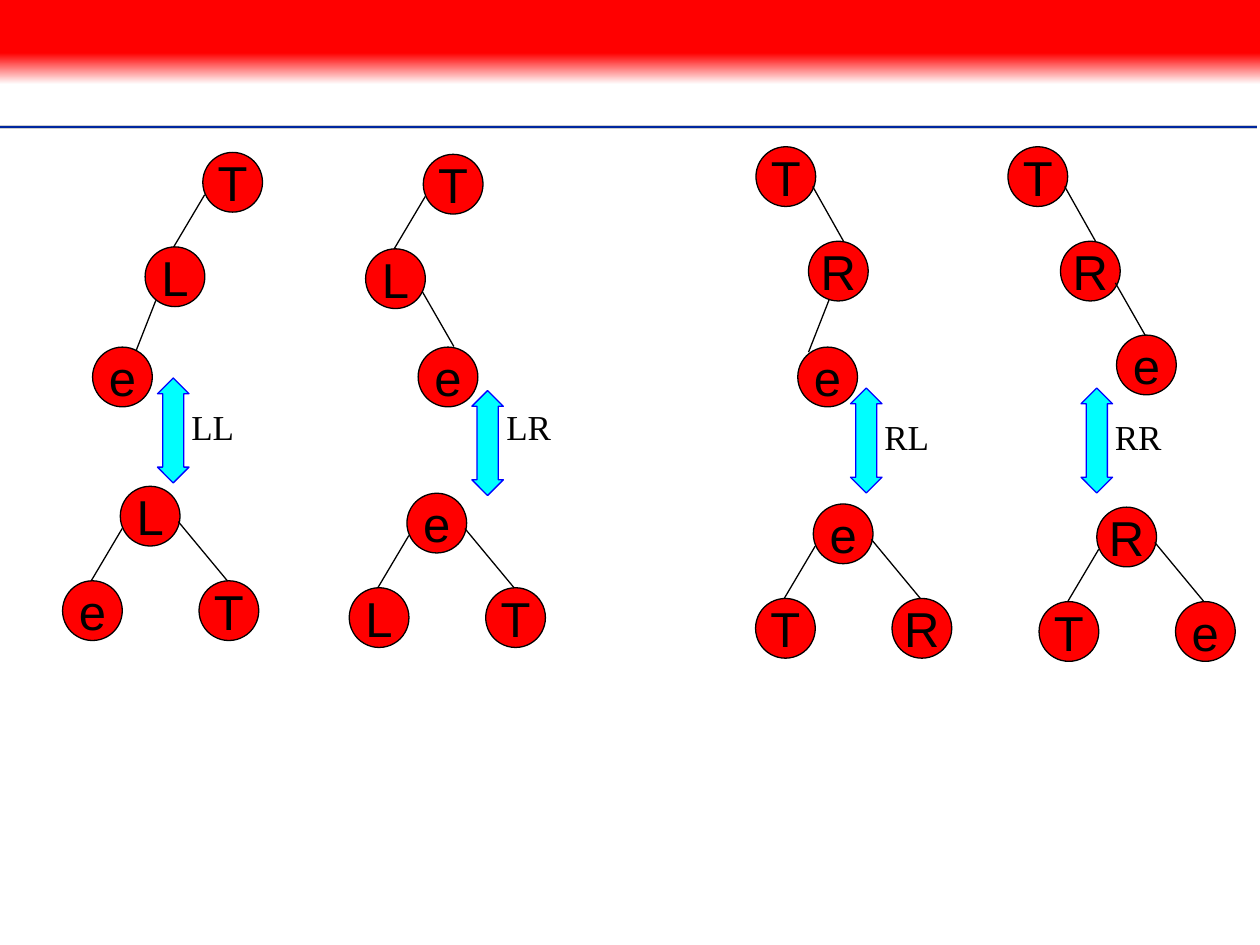
"""Build the slide of the four AVL tree rotations: LL, LR, RL and RR."""
from lxml.etree import SubElement
from pptx import Presentation
from pptx.dml.color import RGBColor
from pptx.enum.shapes import MSO_CONNECTOR, MSO_SHAPE as SHAPE
from pptx.enum.text import MSO_ANCHOR, PP_ALIGN
from pptx.oxml.ns import qn
from pptx.util import Inches, Pt

COLS, ROWS = 100, 75
NODE = 4.74
RED, WHITE, BLACK = "FF0000", "FFFFFF", "000000"

LEFT = ((-4.58, 7.5), (0.15, 3.35), (-2.4, 7.65))
RIGHT = ((4.17, 7.5), (4.5, 3.15), (6.95, 7.5))
WIDE_RIGHT = ((6.25, 7.5), (4.6, 2.8), (8.5, 7.5))
STEEP_LEFT = ((-4.17, 7.95), (0.85, 4.25), (-0.8, 8.45))
LOW_RIGHT = ((4.17, 7.8), (4.5, 3.4), (7, 7.75))
FAR_RIGHT = ((4.45, 7.45), (4.35, 3.3), (6.8, 7.6))
NEAR_LEFT = ((-0.85, 8.4), (1.65, 4.6), (0, 8.8))

ROTATIONS = [
    ("LL", "TLe", (16.1, 12.1), (LEFT, STEEP_LEFT), "LeT", (9.55, 38.6), (12.5, 30), (14.2, 31.7)),
    ("LR", "TLe", (33.6, 12.25), (LEFT, LOW_RIGHT), "eLT", (32.3, 39.15), (37.45, 31), (39.2, 31.7)),
    ("RL", "TRe", (60, 11.65), (RIGHT, NEAR_LEFT), "eTR", (64.55, 40), (67.5, 30.8), (69.2, 32.5)),
    ("RR", "TRe", (80, 11.65), (RIGHT, FAR_RIGHT), "RTe", (87.05, 40.25), (85.8, 30.8), (87.5, 32.5)),
]


def rgb(value):
    return RGBColor.from_string(value)


def shifted(point, offset):
    return point[0] + offset[0], point[1] + offset[1]


class Board:
    """Holds the style and the current slide, and draws on a grid of columns and rows."""

    def __init__(self, prs):
        self.cell_w = prs.slide_width / COLS
        self.cell_h = prs.slide_height / ROWS
        self.s = prs.slides.add_slide(prs.slide_layouts[6])

    def at(self, col, row):
        return round(col * self.cell_w), round(row * self.cell_h)

    def shape(self, kind, pos, size, fill, line=None):
        sp = self.s.shapes.add_shape(kind, *self.at(*pos), *self.at(*size))
        sp.shadow.inherit = False
        sp.fill.solid()
        sp.fill.fore_color.rgb = rgb(fill)
        if line:
            sp.line.color.rgb = rgb(line)
            sp.line.width = Pt(0.75)
        else:
            sp.line.fill.background()
        return sp

    def fade(self, pos, size, top, bottom):
        fill = self.shape(SHAPE.RECTANGLE, pos, size, top).fill
        fill.gradient()
        fill.gradient_angle = 270
        for stop, color, place in zip(fill.gradient_stops, (top, bottom), (0, 1)):
            stop.color.rgb = rgb(color)
            stop.position = place

    def line(self, start, end, color=BLACK, width=0.75):
        cn = self.s.shapes.add_connector(MSO_CONNECTOR.STRAIGHT, *self.at(*start), *self.at(*end))
        cn.line.color.rgb = rgb(color)
        cn.line.width = Pt(width)
        SubElement(cn._element.spPr, qn("a:effectLst"))

    def text(self, sp, words, font, size, align):
        p = sp.text_frame.paragraphs[0]
        p.alignment = align
        r = p.add_run()
        r.text = words
        r.font.name = font
        r.font.size = Pt(size)
        r.font.color.rgb = rgb(BLACK)

    def node(self, letter, pos):
        sp = self.shape(SHAPE.OVAL, pos, (NODE, NODE), RED, BLACK)
        sp.text_frame.word_wrap = False
        sp.text_frame.vertical_anchor = MSO_ANCHOR.MIDDLE
        self.text(sp, letter, "Arial", 28, PP_ALIGN.CENTER)

    def branch(self, letter, parent, way):
        step, start, end = way
        child = shifted(parent, step)
        self.line(shifted(parent, start), shifted(parent, end))
        self.node(letter, child)
        return child

    def chain(self, letters, root, ways):
        self.node(letters[0], root)
        for letter, way in zip(letters[1:], ways):
            root = self.branch(letter, root, way)

    def balanced(self, letters, root):
        self.node(letters[0], root)
        for letter, way in zip(letters[1:], (LEFT, WIDE_RIGHT)):
            self.branch(letter, root, way)

    def arrow(self, pos):
        sp = self.shape(SHAPE.UP_DOWN_ARROW, pos, (2.5, 8.33), "00FFFF", "0000FF")
        sp.adjustments[0] = 0.5
        sp.adjustments[1] = 0.67

    def label(self, words, pos):
        sp = self.s.shapes.add_textbox(*self.at(*pos), *self.at(6.7, 4.4))
        sp.text_frame.word_wrap = True
        self.text(sp, words, "Times New Roman", 20, PP_ALIGN.LEFT)


def main():
    prs = Presentation()
    prs.slide_width, prs.slide_height = Inches(10), Inches(7.5)
    board = Board(prs)
    for row, color, width in ((10.1, "CECECE", 2), (10.1, "00279F", 1), (10.3, WHITE, 1)):
        board.line((0, row), (99.8, row), color, width)
    board.fade((0, 4.2), (COLS, 2.5), RED, WHITE)
    board.shape(SHAPE.RECTANGLE, (0, 0), (COLS, 4.2), RED)
    for name, before, top, ways, after, bottom, arrow, label in ROTATIONS:
        board.chain(before, top, ways)
        board.balanced(after, bottom)
        board.arrow(arrow)
        board.label(name, label)
    prs.save("out.pptx")


if __name__ == "__main__":
    main()
